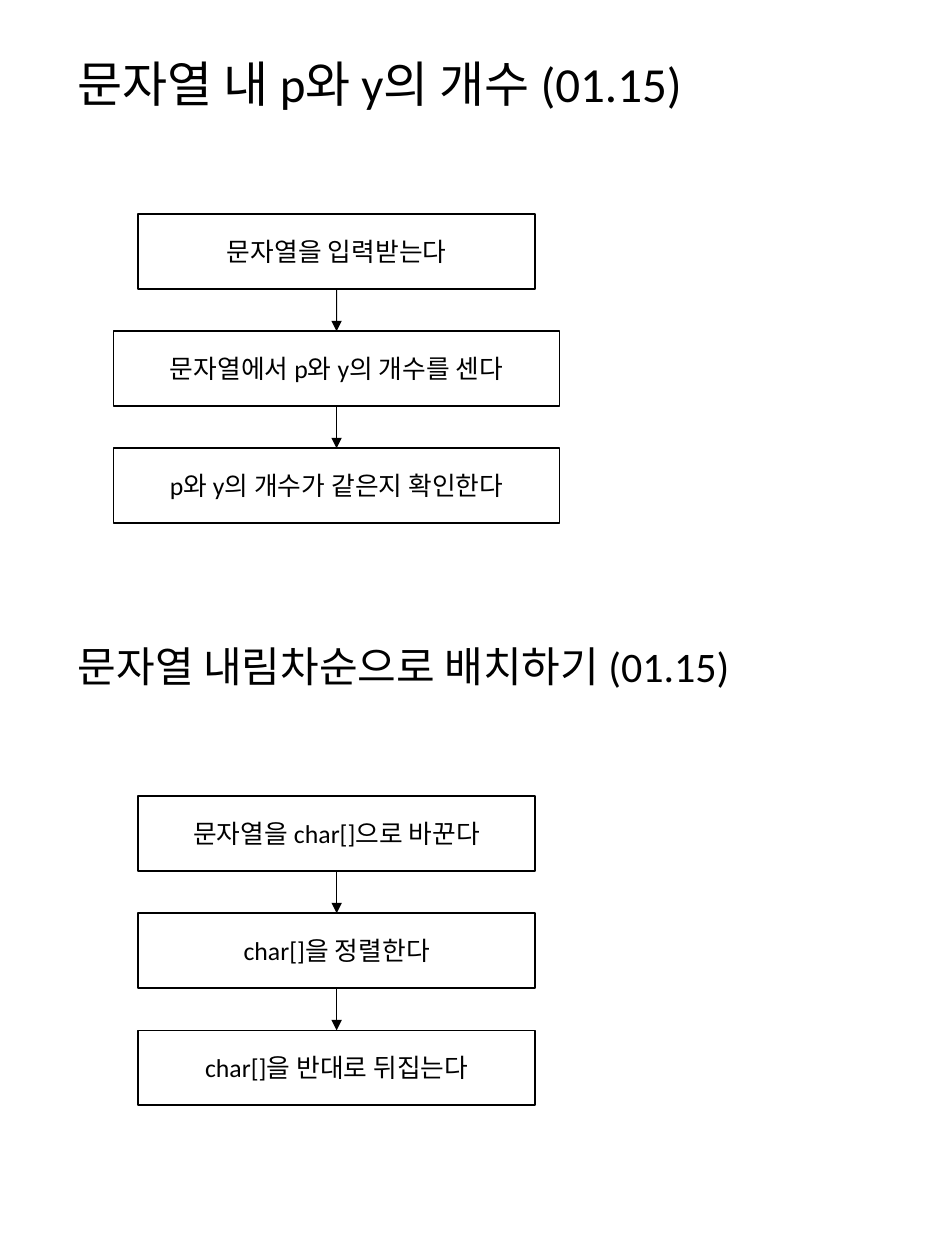
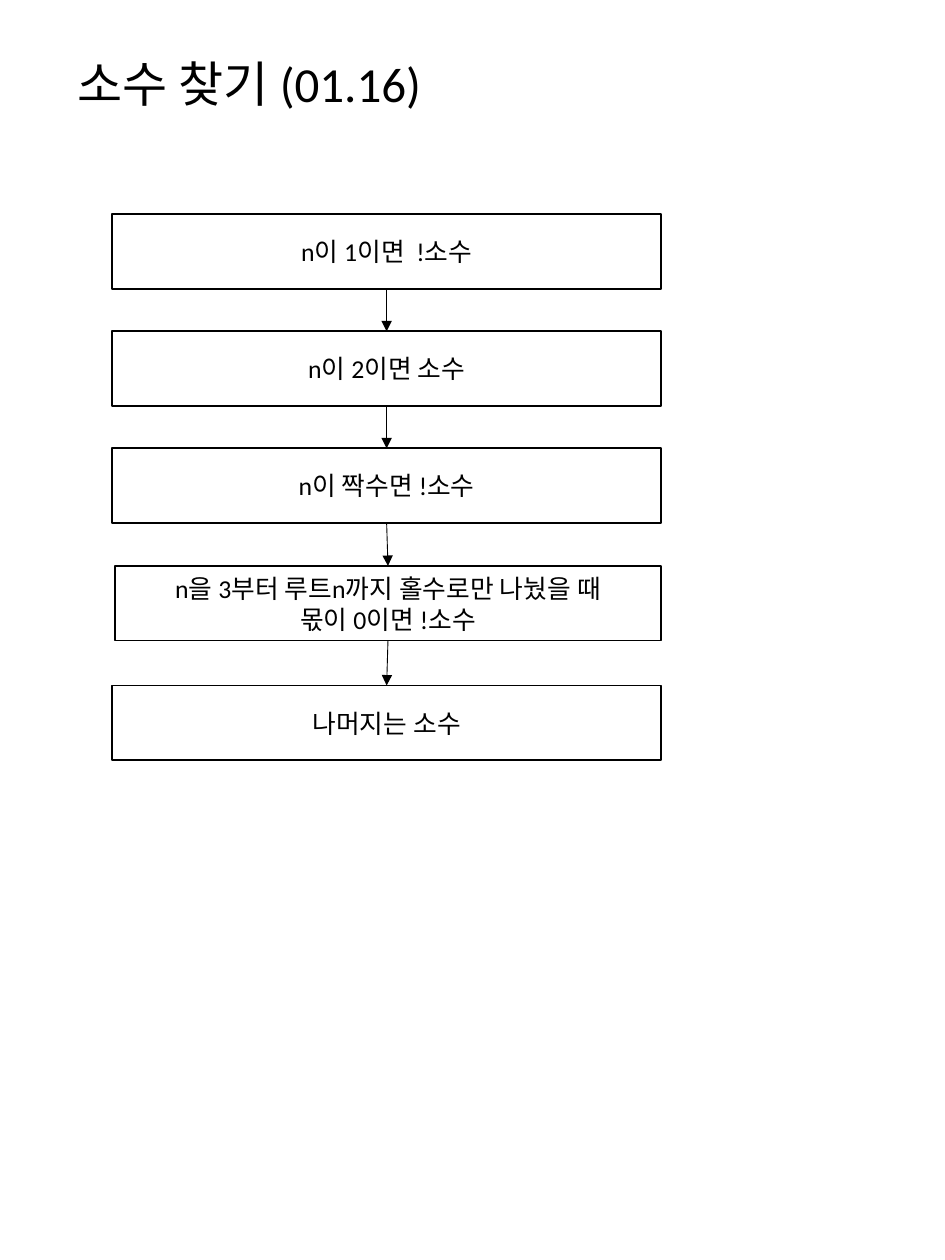
from dataclasses import dataclass

from lxml import etree
from pptx import Presentation
from pptx.dml.color import RGBColor
from pptx.enum.shapes import MSO_CONNECTOR, MSO_SHAPE
from pptx.enum.text import MSO_ANCHOR, PP_ALIGN
from pptx.oxml.ns import qn
from pptx.shapes.autoshape import Shape
from pptx.slide import Slide
from pptx.text.text import _Paragraph
from pptx.util import Pt

RECT = MSO_SHAPE.RECTANGLE
STRAIGHT = MSO_CONNECTOR.STRAIGHT
MIDDLE = MSO_ANCHOR.MIDDLE
CENTER = PP_ALIGN.CENTER

INK = "000000"
FONT = "Calibri"
HEAD_X, HEAD_W, HEAD_H = 37.4, 465.8, 43.9
BOX_H, PITCH = 42.6, 66.9
FLOW_GAP = 95  # from the top of a heading to its first box


@dataclass(frozen=True)
class Run:
    text: str
    font: str = FONT


@dataclass(frozen=True)
class Step:
    lines: tuple[str, ...]
    left: float
    width: float
    drop: float = 0  # extra distance below the regular pitch


@dataclass(frozen=True)
class Flow:
    top: float
    size: float
    title: tuple[Run, ...]
    steps: tuple[Step, ...]


def color(code: str) -> RGBColor:
    return RGBColor.from_string(code)


def add_run(para: _Paragraph, item: Run, size: float) -> None:
    run = para.add_run()
    run.text = item.text
    run.font.name = item.font
    run.font.size = Pt(size)
    run.font.color.rgb = color(INK)


def add_title(slide: Slide, flow: Flow) -> None:
    box = slide.shapes.add_textbox(Pt(HEAD_X), Pt(flow.top), Pt(HEAD_W), Pt(HEAD_H))
    frame = box.text_frame
    frame.word_wrap = True
    frame.vertical_anchor = MIDDLE
    para = frame.paragraphs[0]
    para.line_spacing = 0.9
    for item in flow.title:
        add_run(para, item, flow.size)


def add_box(slide: Slide, step: Step, top: float) -> Shape:
    box = slide.shapes.add_shape(RECT, Pt(step.left), Pt(top), Pt(step.width), Pt(BOX_H))
    box.shadow.inherit = False
    box.fill.background()
    box.line.color.rgb = color(INK)
    box.line.width = Pt(1)
    frame = box.text_frame
    frame.word_wrap = True
    frame.vertical_anchor = MIDDLE
    for i, line in enumerate(step.lines):
        para = frame.add_paragraph() if i else frame.paragraphs[0]
        para.alignment = CENTER
        add_run(para, Run(line), 14.7)
    return box


def add_arrow(slide: Slide, start: Shape, end: Shape) -> None:
    link = slide.shapes.add_connector(STRAIGHT, 0, 0, 0, 0)
    link.begin_connect(start, 2)  # bottom middle
    link.end_connect(end, 0)  # top middle
    link.line.color.rgb = color(INK)
    link.line.width = Pt(0.5)
    etree.SubElement(link.line._get_or_add_ln(), qn("a:tailEnd"), type="triangle")
    etree.SubElement(link._element.spPr, qn("a:effectLst"))


def add_flow(slide: Slide, flow: Flow) -> None:
    add_title(slide, flow)
    top = flow.top + FLOW_GAP
    boxes = [add_box(slide, step, top + i * PITCH + step.drop)
             for i, step in enumerate(flow.steps)]
    for start, end in zip(boxes, boxes[1:]):
        add_arrow(slide, start, end)


# Box sizes as (left, width)
SLIM = (79, 226.8)
BROAD = (64.9, 254.9)
WIDE = (64, 313.9)
INSET = (65.8, 311.8)

# One tuple of flows for each slide
PAGES = (
    (
        Flow(27.4, 28, (Run("문자열 내 p와 y의 개수 (01.15)"),), (
            Step(("문자열을 입력받는다",), *SLIM),
            Step(("문자열에서 p와 y의 개수를 센다",), *BROAD),
            Step(("p와 y의 개수가 같은지 확인한다",), *BROAD),
        )),
        Flow(360, 24, (Run("문자열 내림차순으로 배치하기 ", "Inter"), Run("(01.15)")), (
            Step(("문자열을 char[]으로 바꾼다",), *SLIM),
            Step(("char[]을 정렬한다",), *SLIM),
            Step(("char[]을 반대로 뒤집는다",), *SLIM),
        )),
    ),
    (
        Flow(27.4, 28, (Run("소수 찾기 (01.16)"),), (
            Step(("n이 1이면  !소수",), *WIDE),
            Step(("n이 2이면 소수",), *WIDE),
            Step(("n이 짝수면 !소수",), *WIDE),
            Step(("n을 3부터 루트n까지 홀수로만 나눴을 때", "몫이 0이면 !소수"), *INSET, 0.3),
            Step(("나머지는 소수",), *WIDE, 1.7),
        )),
    ),
)


def main() -> None:
    deck = Presentation()
    deck.slide_width, deck.slide_height = Pt(540), Pt(720)
    for flows in PAGES:
        slide = deck.slides.add_slide(deck.slide_layouts[6])
        for flow in flows:
            add_flow(slide, flow)
    deck.save("out.pptx")


if __name__ == "__main__":
    main()
